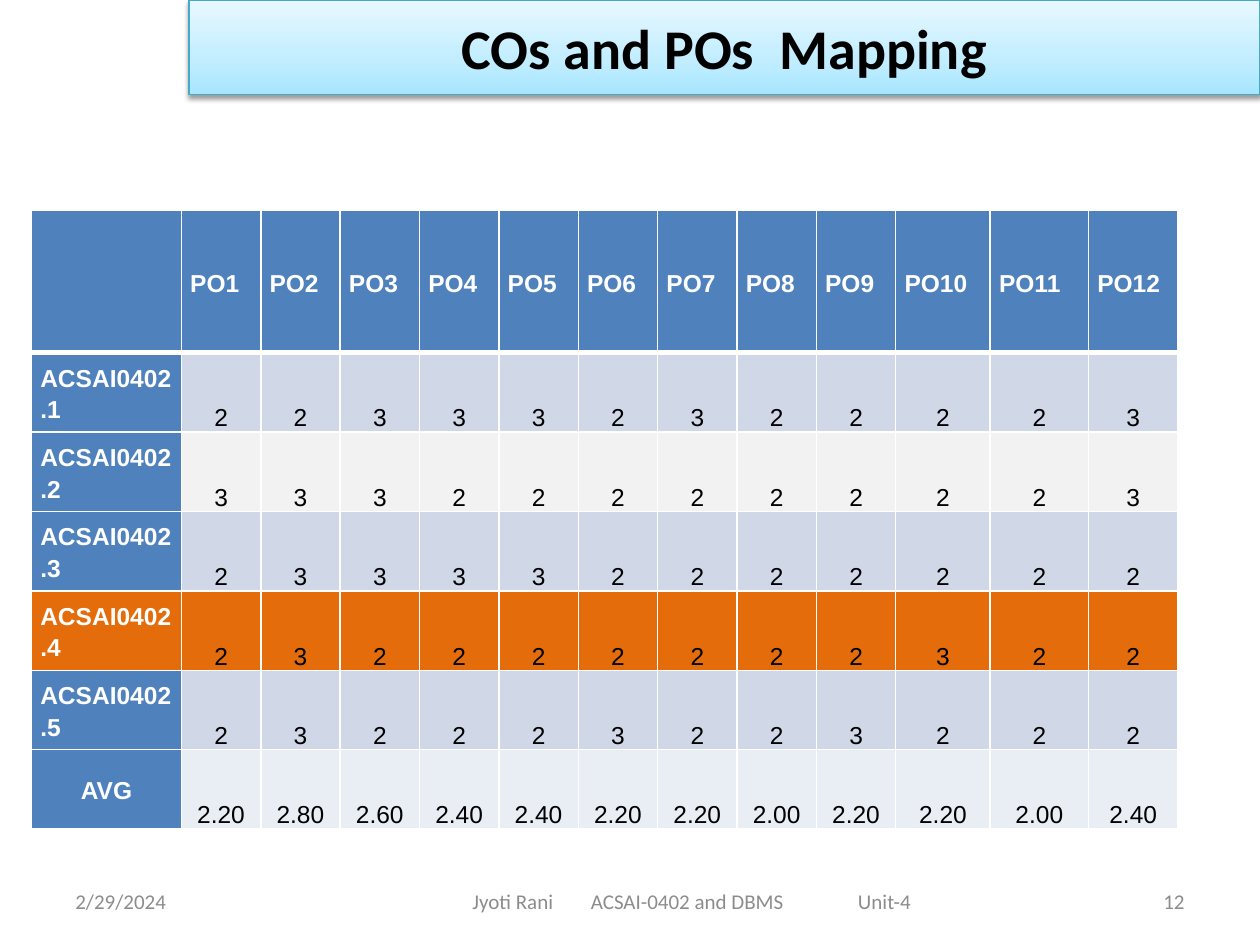
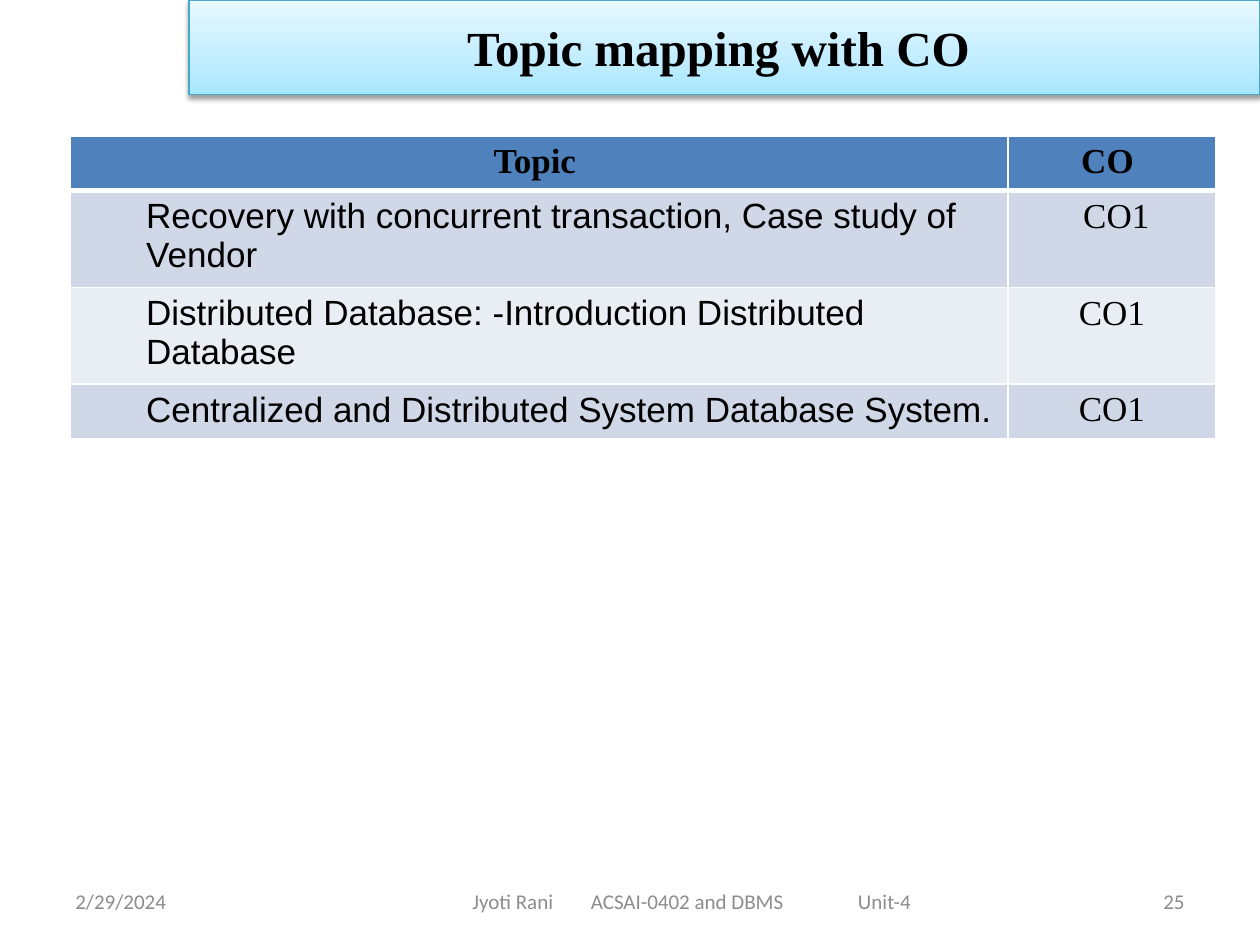
"""Builds the two course outcome mapping slides."""
from pptx import Presentation
from pptx.dml.color import RGBColor
from pptx.enum.text import MSO_ANCHOR, MSO_AUTO_SIZE, PP_ALIGN
from pptx.oxml import parse_xml
from pptx.oxml.ns import nsdecls
from pptx.util import Inches, Pt

INK = {
    "black": "000000", "white": "FFFFFF", "gray": "8C8C8C", "edge": "46AAC5",
    "deep": "A7E6FF", "mid": "C1EDFF", "pale": "E7F8FF", "head": "4F81BD",
    "band": "D0D8E8", "light": "E9EDF4", "plain": "F2F2F2", "mark": "E46C0A",
}
SERIF = "Times New Roman"
MARKS = [
    "223332322223",
    "333222222223",
    "233332222222",
    "232222222322",
    "232223223222",
]
TOPICS = [
    ("Recovery with concurrent transaction, Case study of Vendor", " CO1"),
    ("Distributed Database: -Introduction Distributed Database", "CO1"),
    ("Centralized and Distributed System Database System.", "CO1"),
]


class Deck:
    def __init__(self):
        self.prs = Presentation()
        self.prs.slide_width, self.prs.slide_height = Inches(10), Inches(7.5)
        self.slide = None

    def page(self, title, font, size, number):
        self.slide = self.prs.slides.add_slide(self.prs.slide_layouts[5])
        self.foot("2/29/2024", 0.5, 2.33)
        text = "Jyoti Rani\tACSAI-0402 and DBMS\tUnit-4"
        self.foot(text, 2.75, 5.5, inset=1, tabs=(0.94, 3.06))
        self.foot(str(number), 7.17, 2.33, PP_ALIGN.RIGHT)
        self.title(title, font, size)

    def style(self, para, font, size, color, bold=False, align=PP_ALIGN.LEFT):
        para.alignment = align
        for run in para.runs:
            run.font.name, run.font.size, run.font.bold = font, Pt(size), bold
            run.font.color.rgb = RGBColor.from_string(INK[color])

    def title(self, text, font, size):
        box = self.slide.shapes.title
        box.left, box.top = Inches(1.5), Inches(0)
        box.width, box.height = Inches(8.5), Inches(0.75)
        frame = box.text_frame
        frame.text = text
        frame.auto_size = MSO_AUTO_SIZE.NONE
        frame.vertical_anchor = MSO_ANCHOR.MIDDLE
        self.style(frame.paragraphs[0], font, size, "black", True, PP_ALIGN.CENTER)
        stops = "".join(
            f'<a:gs pos="{pos * 1000}"><a:srgbClr val="{INK[name]}"/></a:gs>'
            for pos, name in ((0, "deep"), (35, "mid"), (100, "pale")))
        props = box.element.spPr
        props.append(parse_xml(
            f'<a:gradFill {nsdecls("a")} rotWithShape="1"><a:gsLst>{stops}</a:gsLst>'
            '<a:lin ang="16200000" scaled="1"/></a:gradFill>'))
        box.line.color.rgb = RGBColor.from_string(INK["edge"])
        box.line.width = Pt(0.75)
        props.append(parse_xml(
            f'<a:effectLst {nsdecls("a")}><a:outerShdw blurRad="{Pt(3.1)}" '
            f'dist="{Pt(1.6)}" dir="5400000" rotWithShape="0">'
            f'<a:srgbClr val="{INK["black"]}"><a:alpha val="38000"/></a:srgbClr>'
            '</a:outerShdw></a:effectLst>'))

    def foot(self, text, left, width, align=PP_ALIGN.LEFT, inset=0.1, tabs=()):
        box = self.slide.shapes.add_textbox(
            Inches(left), Inches(6.95), Inches(width), Inches(0.4))
        frame = box.text_frame
        frame.text = text
        frame.word_wrap = True
        frame.vertical_anchor = MSO_ANCHOR.MIDDLE
        frame.margin_left = Inches(inset)
        para = frame.paragraphs[0]
        if tabs:
            marks = "".join(f'<a:tab pos="{Inches(pos)}" algn="l"/>' for pos in tabs)
            para._p.get_or_add_pPr().append(
                parse_xml(f'<a:tabLst {nsdecls("a")}>{marks}</a:tabLst>'))
        self.style(para, "Calibri", 12, "gray", align=align)

    def table(self, left, top, cols, rows):
        frame = self.slide.shapes.add_table(
            len(rows), len(cols), Inches(left), Inches(top),
            Inches(sum(cols)), Inches(sum(rows)))
        table = frame.table
        for col, width in zip(table.columns, cols):
            col.width = Inches(width)
        for row, height in zip(table.rows, rows):
            row.height = Inches(height)
        return table

    def cell(self, table, row, col, text, fill, font, size, color="black",
             bold=False, align=PP_ALIGN.CENTER, anchor=MSO_ANCHOR.TOP,
             pad=(0.1, 0.05), indent=0, lead=1.0):
        cell = table.cell(row, col)
        props = cell._tc.get_or_add_tcPr()
        for side in "LRTB":
            thick = (row, side) in ((0, "B"), (1, "T"))
            props.append(parse_xml(
                f'<a:ln{side} {nsdecls("a")} w="{Pt(3 if thick else 1)}"><a:solidFill>'
                f'<a:srgbClr val="{INK["white"]}"/></a:solidFill></a:ln{side}>'))
        cell.fill.solid()
        cell.fill.fore_color.rgb = RGBColor.from_string(INK[fill])
        cell.margin_left, cell.margin_right = Inches(pad[0] + indent), Inches(pad[0])
        cell.margin_top = cell.margin_bottom = Inches(pad[1])
        cell.vertical_anchor = anchor
        cell.text_frame.text = text
        para = cell.text_frame.paragraphs[0]
        para.line_spacing = lead
        self.style(para, font, size, color, bold, align)

    def grid(self):
        heads = [""] + [f"PO{n}" for n in range(1, 13)]
        data = [heads]
        data += [[f"ACSAI0402.{n}", *row] for n, row in enumerate(MARKS, 1)]
        means = [sum(map(int, col)) / len(MARKS) for col in zip(*MARKS)]
        data.append(["AVG"] + [f"{mean:.2f}" for mean in means])
        fills = ["head", "band", "plain", "band", "mark", "band", "light"]
        table = self.table(0.25, 1.67, [1.19] + [0.63] * 9 + [0.75, 0.78, 0.71],
                           [1.13] + [0.63] * 6)
        for r, (row, fill) in enumerate(zip(data, fills)):
            for c, text in enumerate(row):
                label = r == 0 or c == 0
                tint = "head" if label and fill != "mark" else fill
                side = PP_ALIGN.LEFT if label and text != "AVG" else PP_ALIGN.CENTER
                self.cell(table, r, c, text, tint, "Arial", 14,
                          "white" if label else "black", label, side,
                          MSO_ANCHOR.MIDDLE if label else MSO_ANCHOR.BOTTOM,
                          pad=(0.07, 0), lead=1.15)

    def topics(self):
        table = self.table(0.56, 1.08, [7.44, 1.65], [0.43] * 4)
        for c, text in enumerate(("Topic ", "CO ")):
            self.cell(table, 0, c, text, "head", SERIF, 20, bold=True)
        for r, (topic, goal) in enumerate(TOPICS, 1):
            fill = "band" if r % 2 else "light"
            self.cell(table, r, 0, topic, fill, "Arial", 20,
                      align=PP_ALIGN.LEFT, indent=0.5)
            self.cell(table, r, 1, goal, fill, SERIF, 20)


def main():
    deck = Deck()
    deck.page("COs and POs  Mapping", "Calibri", 32, 12)
    deck.grid()
    deck.page("Topic mapping with CO ", SERIF, 28, 25)
    deck.topics()
    deck.prs.save("out.pptx")


if __name__ == "__main__":
    main()
